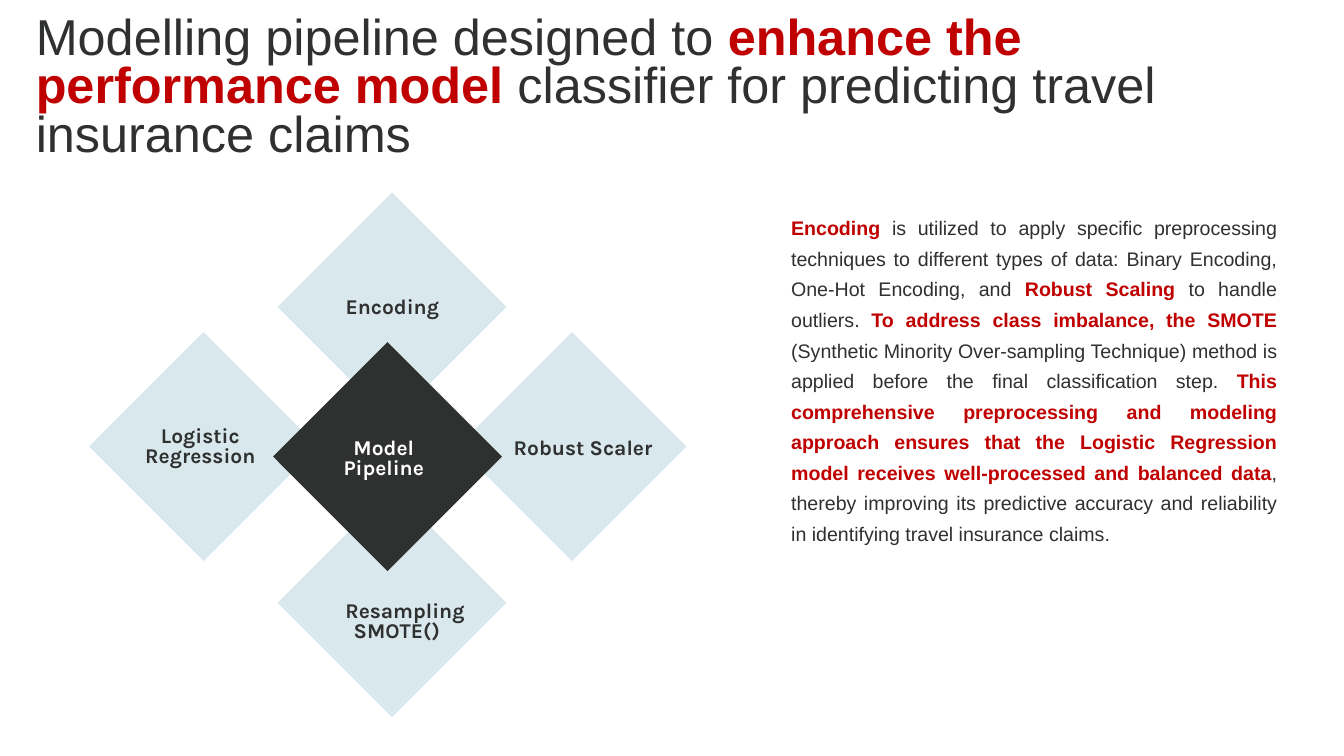
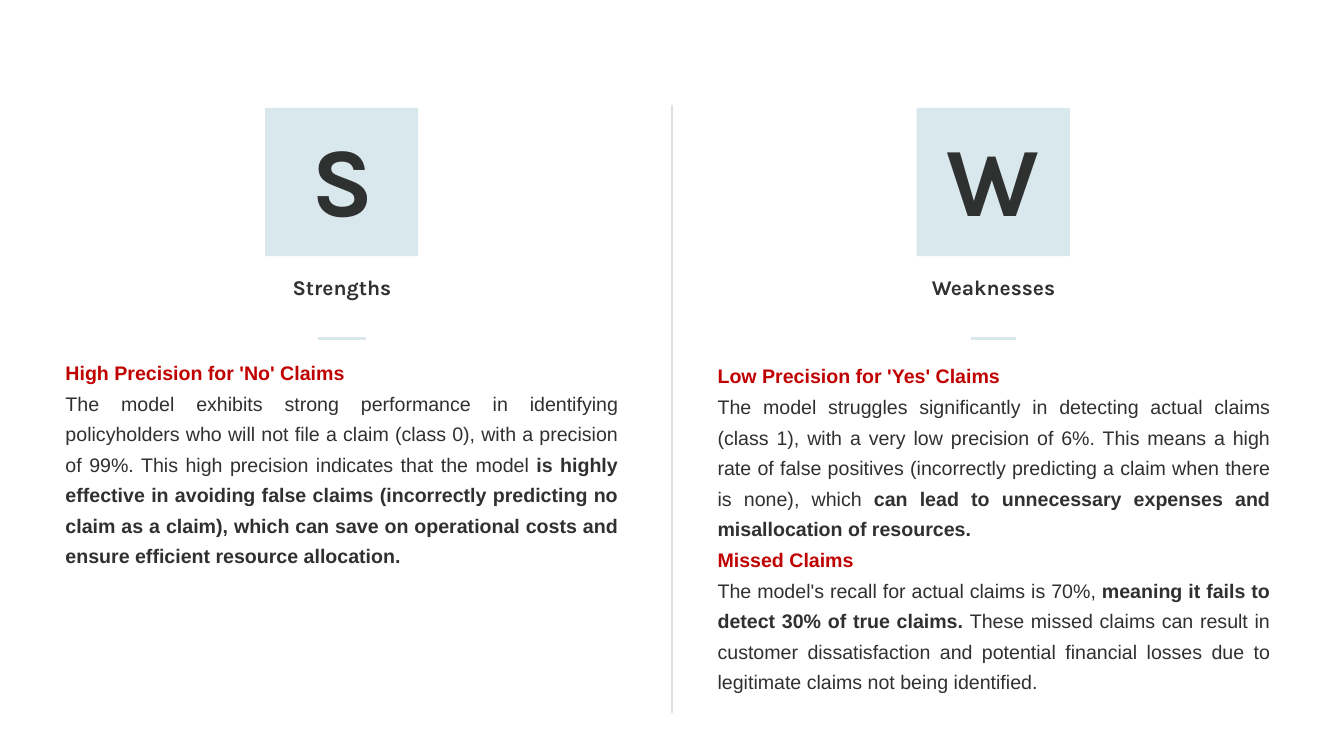
import pptx
import pptx.util
import pptx.dml.color
import pptx.enum.shapes
import pptx.enum.text
import pptx.oxml.ns
import lxml.etree

Inches = pptx.util.Inches
Pt = pptx.util.Pt
RGBColor = pptx.dml.color.RGBColor
Shape = pptx.enum.shapes.MSO_SHAPE
Align = pptx.enum.text.PP_ALIGN
Anchor = pptx.enum.text.MSO_ANCHOR

DARK = RGBColor(0x2F, 0x30, 0x30)
RED = RGBColor(0xC0, 0x00, 0x00)
PALE = RGBColor(0xD8, 0xE8, 0xED)
GREY = RGBColor(0xE1, 0xE1, 0xE3)
WHITE = RGBColor(0xFF, 0xFF, 0xFF)

STYLES = {
    "plain": (DARK, False),
    "bold": (DARK, True),
    "red": (RED, True),
    "white": (WHITE, True),
}

TITLE = [[
    ("Modelling pipeline designed to ", "plain"),
    ("enhance the performance model ", "red"),
    ("classifier for predicting travel insurance claims", "plain"),
]]

DIAMOND_SIZE = 4.54
DIAMONDS = [
    (1.77, 6.59, PALE),
    (5.51, 3.82, PALE),
    (5.51, 9.69, PALE),
    (9.08, 6.59, PALE),
    (5.42, 6.79, DARK),
]
STEPS = [
    (["Encoding"], "bold", (6.09, 5.93, 3.39, 0.4), 0),
    (["Robust Scaler"], "bold", (10.03, 8.72, 3.08, 0.4), 0),
    (["Logistic Regression"], "bold", (2.28, 8.67, 3.39, 0.4), 0),
    (["Resampling", "SMOTE()"], "bold", (6.18, 12.15, 3.39, 0.4), 0.32),
    (["Model", "Pipeline"], "white", (5.92, 8.88, 3.39, 0.47), 0),
]
EXPLANATION = [[
    ("Encoding ", "red"),
    ("is utilized to apply specific preprocessing techniques to different types of data: "
     "Binary Encoding, One-Hot Encoding, and ", "plain"),
    ("Robust Scaling ", "red"),
    ("to handle outliers. ", "plain"),
    ("To address class imbalance, the SMOTE ", "red"),
    ("(Synthetic Minority Over-sampling Technique) method is applied before the final "
     "classification step. ", "plain"),
    ("This comprehensive preprocessing and modeling approach ensures that the Logistic "
     "Regression model receives well-processed and balanced data", "red"),
    (", thereby improving its predictive accuracy and reliability in identifying travel "
     "insurance claims.", "plain"),
]]

STRENGTHS = [
    [("High Precision for 'No' Claims", "red")],
    [
        ("The model exhibits strong performance in identifying policyholders who will not "
         "file a claim (class 0), with a precision of 99%. This high precision indicates "
         "that the model ", "plain"),
        ("is highly effective in avoiding false claims (incorrectly predicting no claim as "
         "a claim), which can save on operational costs and ensure efficient resource "
         "allocation. ", "bold"),
    ],
]
WEAKNESSES = [
    [("Low Precision for 'Yes' Claims", "red")],
    [
        ("The model struggles significantly in detecting actual claims (class 1), with a "
         "very low precision of 6%. This means a high rate of false positives (incorrectly "
         "predicting a claim when there is none), which ", "plain"),
        ("can lead to unnecessary expenses and misallocation of resources.", "bold"),
    ],
    [("Missed Claims ", "red")],
    [
        ("The model's recall for actual claims is 70%, ", "plain"),
        ("meaning it fails to detect 30% of true claims. ", "bold"),
        ("These missed claims can result in customer dissatisfaction and potential "
         "financial losses due to legitimate claims not being identified.", "plain"),
    ],
]
COLUMNS = [
    {"letter": "S", "heading": "Strengths", "center": 6.78, "letter_width": 1.18,
     "dash": 0.95, "body": STRENGTHS, "body_at": (1.3, 7.02, 10.96, 2.52)},
    {"letter": "W", "heading": "Weaknesses", "center": 19.71, "letter_width": 2.08,
     "dash": 0.9, "body": WEAKNESSES, "body_at": (14.24, 7.09, 10.96, 2.32)},
]


def add_text(page, paragraphs, at, size, font, align, spacing, anchor, first_indent=0):
    box = page.shapes.add_textbox(*map(Inches, at))
    frame = box.text_frame
    frame.word_wrap = True
    frame.vertical_anchor = anchor
    frame.margin_left = frame.margin_right = frame.margin_top = frame.margin_bottom = 0
    for index, runs in enumerate(paragraphs):
        para = frame.add_paragraph() if index else frame.paragraphs[0]
        para.alignment = align
        para.line_spacing = spacing
        if first_indent and index == 0:
            para._p.get_or_add_pPr().set("marL", str(Inches(first_indent)))
        for text, style in runs:
            span = para.add_run()
            span.text = text
            span.font.name = font
            span.font.size = Pt(size)
            span.font.color.rgb, span.font.bold = STYLES[style]


def add_label(page, lines, style, at, first_indent=0):
    add_text(page, [[(line, style)] for line in lines], at, 30, "Karla",
             Align.CENTER, 0.8, Anchor.MIDDLE, first_indent)


def add_body(page, paragraphs, at):
    add_text(page, paragraphs, at, 28, "Arial", Align.JUSTIFY, 1.3, Anchor.TOP)


def add_block(page, kind, at, color):
    block = page.shapes.add_shape(kind, *map(Inches, at))
    block.shadow.inherit = False
    block.fill.solid()
    block.fill.fore_color.rgb = color
    block.line.fill.background()


def add_rule(page, ends, color, width):
    rule = page.shapes.add_connector(
        pptx.enum.shapes.MSO_CONNECTOR.STRAIGHT, *map(Inches, ends))
    rule.line.color.rgb = color
    rule.line.width = Pt(width)
    lxml.etree.SubElement(rule._element.spPr, pptx.oxml.ns.qn("a:effectLst"))


def build_pipeline(page):
    add_text(page, TITLE, (0.71, 1.29, 25.33, 0.97), 72, "Arial",
             Align.LEFT, 0.8, Anchor.MIDDLE)
    for left, top, color in DIAMONDS:
        add_block(page, Shape.DIAMOND, (left, top, DIAMOND_SIZE, DIAMOND_SIZE), color)
    for step in STEPS:
        add_label(page, *step)
    add_body(page, EXPLANATION, (15.7, 4.15, 9.64, 8.43))


def build_strengths_weaknesses(page):
    for column in COLUMNS:
        center, width, dash = column["center"], column["letter_width"], column["dash"]
        add_block(page, Shape.RECTANGLE, (center - 1.52, 2.14, 3.04, 2.94), PALE)
        add_body(page, column["body"], column["body_at"])
        add_label(page, [column["heading"]], "bold", (center - 2.92, 5.54, 5.85, 0.4))
        add_text(page, [[(column["letter"], "bold")]],
                 (center - width / 2, 2.34, width, 2.36), 140, "Karla",
                 Align.CENTER, 1.0, Anchor.MIDDLE)
        add_rule(page, (center - dash / 2, 6.72, center + dash / 2, 6.72), PALE, 5)
    add_rule(page, (13.33, 2.09, 13.33, 14.15), GREY, 3)


def main():
    deck = pptx.Presentation()
    deck.slide_width = Inches(26.67)
    deck.slide_height = Inches(15)
    for build in (build_pipeline, build_strengths_weaknesses):
        build(deck.slides.add_slide(deck.slide_layouts[6]))
    deck.save("out.pptx")


if __name__ == "__main__":
    main()
